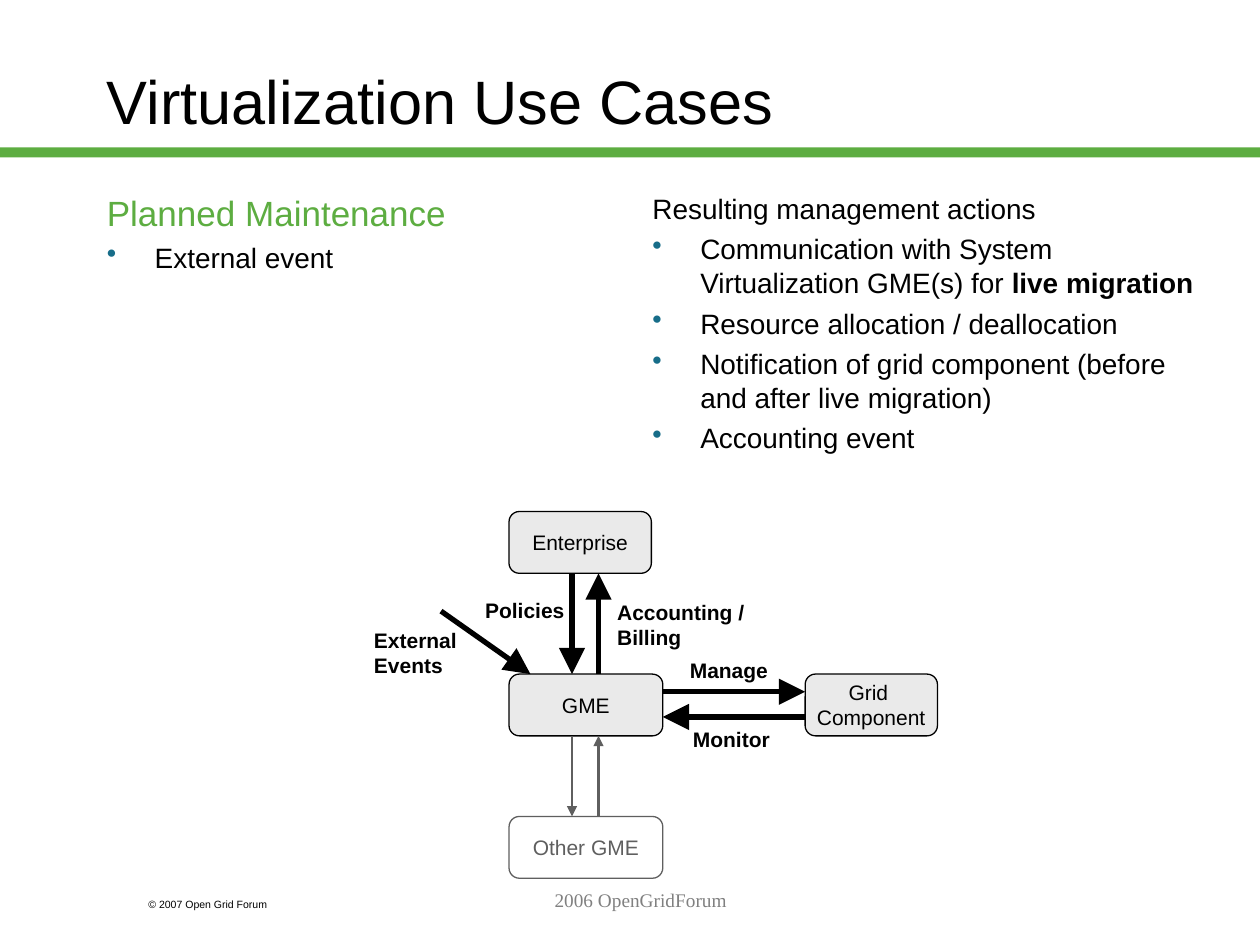
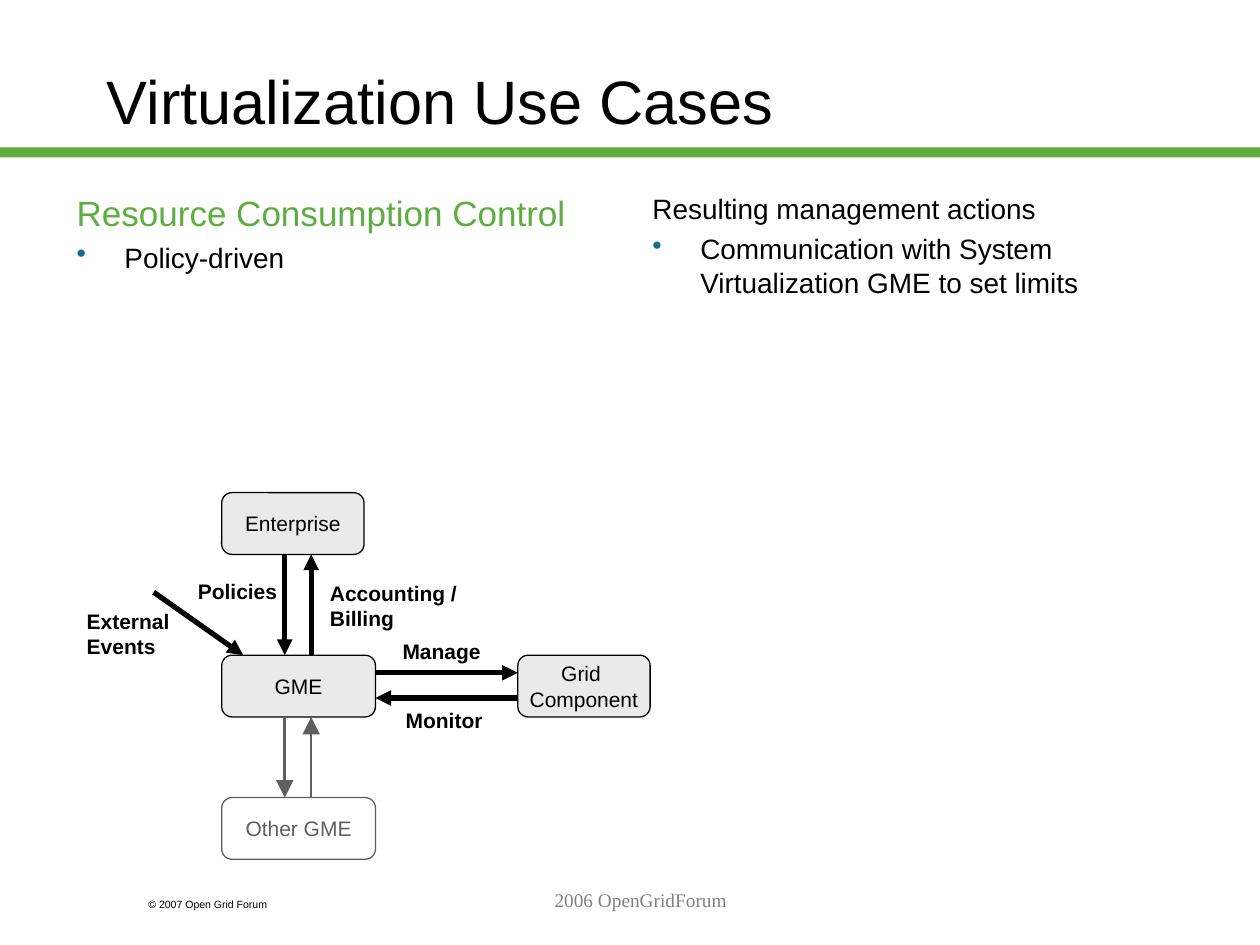
from lxml import etree
from pptx import Presentation
from pptx.dml.color import RGBColor
from pptx.enum.shapes import MSO_CONNECTOR, MSO_SHAPE
from pptx.enum.text import MSO_ANCHOR, PP_ALIGN
from pptx.oxml.ns import qn
from pptx.util import Inches, Pt

STRAIGHT = MSO_CONNECTOR.STRAIGHT
RECTANGLE, ROUNDED = MSO_SHAPE.RECTANGLE, MSO_SHAPE.ROUNDED_RECTANGLE
LEFT, CENTER = PP_ALIGN.LEFT, PP_ALIGN.CENTER
TOP, MIDDLE = MSO_ANCHOR.TOP, MSO_ANCHOR.MIDDLE

GREEN = RGBColor(0x5D, 0xAD, 0x41)
TEAL = RGBColor(0x17, 0x6D, 0x89)
BLACK = RGBColor(0, 0, 0)
WHITE = RGBColor(0xFF, 0xFF, 0xFF)
PALE_GREY = RGBColor(0xEA, 0xEA, 0xEA)
DARK_GREY = RGBColor(0x5F, 0x5F, 0x5F)
FOOTER_GREY = RGBColor(0x80, 0x80, 0x80)
SANS, SERIF = "Arial", "Times New Roman"

TITLE = "Virtualization Use Cases"
COPYRIGHT = "© 2007 Open Grid Forum"
FOOTER = "2006 OpenGridForum"
ACTIONS_HEADING = "Resulting management actions"
ACTIONS_AREA = (5.08, 1.47, 4.64, 4.5)

# Each bullet is a list of (text, bold) spans.
USE_CASES = [
    {
        "heading": "Planned Maintenance",
        "area": (0.75, 1.47, 4.17, 4.5),
        "triggers": [[("External event", False)]],
        "actions": [
            [("Communication with System Virtualization GME(s) for ", False),
             ("live migration", True)],
            [("Resource allocation / deallocation", False)],
            [("Notification of grid component (before and after live migration)", False)],
            [("Accounting event", False)],
        ],
        "diagram_origin": (4.04, 4.06),
        "main_head": "lg",
        "peer_head": "med",
    },
    {
        "heading": "Resource Consumption Control",
        "area": (0.51, 1.47, 4.64, 4.5),
        "triggers": [[("Policy-driven", False)]],
        "actions": [
            [("Communication with System Virtualization GME to set limits", False)],
        ],
        "diagram_origin": (1.76, 3.91),
        "main_head": "med",
        "peer_head": "lg",
    },
]

# Diagram places are measured from the top left corner of the Enterprise box.
NODE_HEIGHT = 0.49
GME_TOP, GME_WIDTH = 1.29, 1.22
GME_BOTTOM = GME_TOP + NODE_HEIGHT
OTHER_TOP, GRID_LEFT = 2.42, 2.35
DOWN_X, UP_X = 0.5, 0.71
MANAGE_Y, MONITOR_Y = 1.43, 1.63

# text, left, top, width, fill, ink
NODES = [
    ("Enterprise", 0, 0, 1.13, PALE_GREY, BLACK),
    ("GME", 0, GME_TOP, GME_WIDTH, PALE_GREY, BLACK),
    ("Grid \vComponent", GRID_LEFT, GME_TOP, 1.05, PALE_GREY, BLACK),
    ("Other GME", 0, OTHER_TOP, GME_WIDTH, WHITE, DARK_GREY),
]
# start x, start y, end x, end y
MAIN_ARROWS = [
    (DOWN_X, NODE_HEIGHT, DOWN_X, GME_TOP),
    (UP_X, GME_TOP, UP_X, NODE_HEIGHT),
    (GME_WIDTH, MANAGE_Y, GRID_LEFT, MANAGE_Y),
    (GRID_LEFT, MONITOR_Y, GME_WIDTH, MONITOR_Y),
    (-0.54, 0.79, 0.17, GME_TOP),
]
PEER_ARROWS = [
    (DOWN_X, GME_BOTTOM, DOWN_X, OTHER_TOP),
    (UP_X, OTHER_TOP, UP_X, GME_BOTTOM),
]
# text, left, top, width, height, alignment
LABELS = [
    ("Policies", -0.38, 0.63, 1.01, 0.3, CENTER),
    ("Accounting / Billing", 0.76, 0.65, 1.31, 0.5, LEFT),
    ("Manage", 1.27, 1.11, 0.95, 0.3, CENTER),
    ("Monitor", 1.27, 1.66, 0.99, 0.3, CENTER),
    ("External Events", -1.17, 0.87, 0.97, 0.5, LEFT),
]


def style(font, size, color, name=SANS, bold=False):
    font.size, font.name, font.bold = Pt(size), name, bold
    font.color.rgb = color


def write(frame, text, size, color, align=LEFT, name=SANS, bold=False):
    frame.text = text
    para = frame.paragraphs[0]
    para.alignment = align
    for span in para.runs:
        style(span.font, size, color, name, bold)


def add_box(page, area, anchor=TOP):
    box = page.shapes.add_textbox(*map(Inches, area))
    box.text_frame.word_wrap = True
    box.text_frame.vertical_anchor = anchor
    return box.text_frame


def add_shape(page, preset, area, fill):
    shape = page.shapes.add_shape(preset, *map(Inches, area))
    shape.shadow.inherit = False
    shape.fill.solid()
    shape.fill.fore_color.rgb = fill
    return shape


def add_frame(page):
    """Add the title, band and footers that every slide carries."""
    band = add_shape(page, RECTANGLE, (0, 1.17, 10, 0.08), GREEN)
    band.line.fill.background()
    write(add_box(page, (1.08, 7.08, 1.5, 0.2)), COPYRIGHT, 6, BLACK)
    write(add_box(page, (0.75, 0.17, 8.5, 1.25), MIDDLE), TITLE, 35, BLACK)
    write(add_box(page, (2.17, 7, 5.83, 0.5)), FOOTER, 11, FOOTER_GREY, CENTER, SERIF)


def add_bullet(para):
    properties = para._p.get_or_add_pPr()
    properties.set("marL", str(Inches(0.38)))
    properties.set("indent", str(-Inches(0.38)))
    color = etree.SubElement(properties, qn("a:buClr"))
    etree.SubElement(color, qn("a:srgbClr"), val=str(TEAL))
    etree.SubElement(properties, qn("a:buChar"), char="•")


def add_column(page, area, heading, size, color, bullets):
    frame = add_box(page, area)
    write(frame, heading, size, color)
    for spans in bullets:
        para = frame.add_paragraph()
        add_bullet(para)
        para.space_before = Pt(4)
        for text, bold in spans:
            span = para.add_run()
            span.text = text
            style(span.font, 16, BLACK, bold=bold)


def add_arrow(page, ends, color, width, head):
    arrow = page.shapes.add_connector(STRAIGHT, *map(Inches, ends))
    arrow.line.color.rgb = color
    arrow.line.width = Pt(width)
    etree.SubElement(arrow.line._get_or_add_ln(), qn("a:tailEnd"),
                     type="triangle", w=head, len=head)
    etree.SubElement(arrow._element.spPr, qn("a:effectLst"))


def add_diagram(page, origin, main_head, peer_head):
    x, y = origin
    for text, left, top, width, fill, ink in NODES:
        node = add_shape(page, ROUNDED, (x + left, y + top, width, NODE_HEIGHT), fill)
        node.line.color.rgb = ink
        node.line.width = Pt(0.75)
        node.text_frame.word_wrap = False
        node.text_frame.vertical_anchor = MIDDLE
        write(node.text_frame, text, 12, ink, CENTER)
    for arrows, color, line_width, head in (
        (MAIN_ARROWS, BLACK, 3, main_head),
        (PEER_ARROWS, DARK_GREY, 1.5, peer_head),
    ):
        for x1, y1, x2, y2 in arrows:
            add_arrow(page, (x + x1, y + y1, x + x2, y + y2), color, line_width, head)
    for text, left, top, width, height, align in LABELS:
        frame = add_box(page, (x + left, y + top, width, height))
        write(frame, text, 12, BLACK, align, bold=True)


def main():
    deck = Presentation()
    deck.slide_width, deck.slide_height = Inches(10), Inches(7.5)
    for case in USE_CASES:
        page = deck.slides.add_slide(deck.slide_layouts[6])
        add_frame(page)
        add_column(page, case["area"], case["heading"], 20, GREEN, case["triggers"])
        add_column(page, ACTIONS_AREA, ACTIONS_HEADING, 16, BLACK, case["actions"])
        add_diagram(page, case["diagram_origin"], case["main_head"], case["peer_head"])
    deck.save("out.pptx")


if __name__ == "__main__":
    main()
